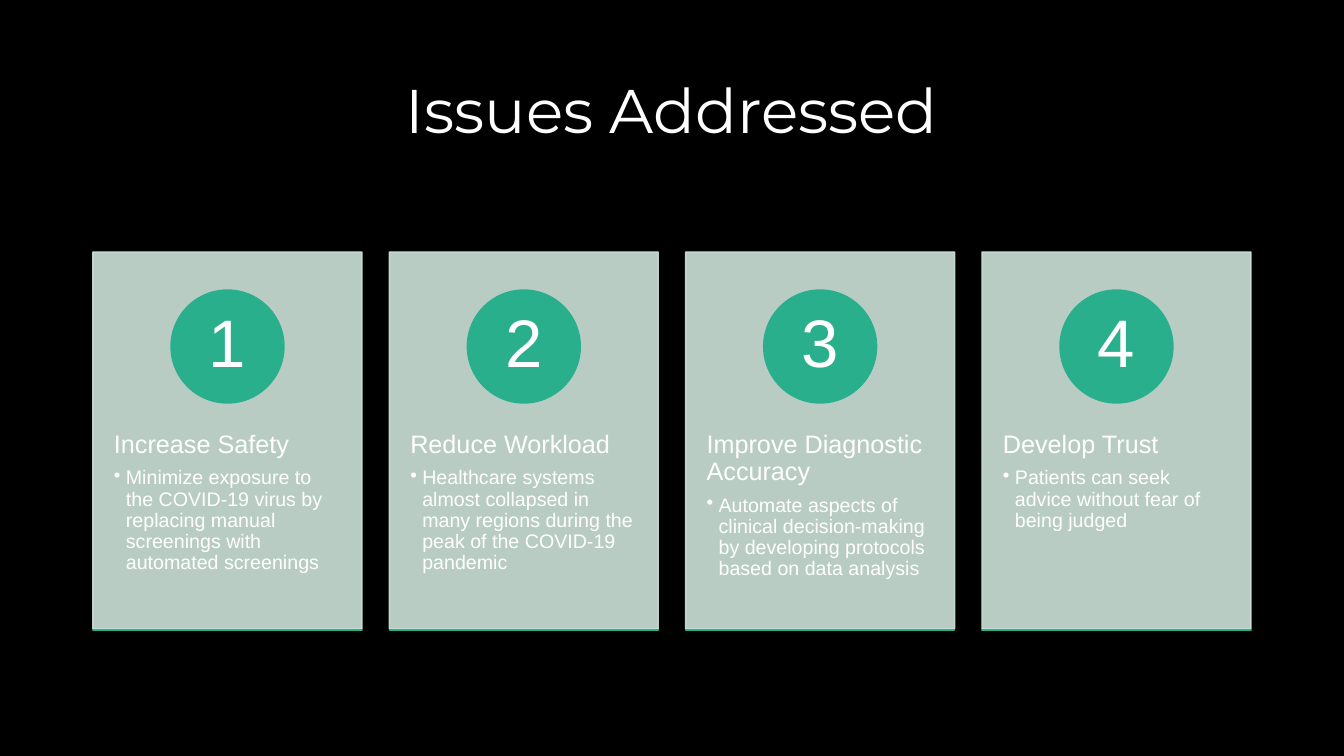
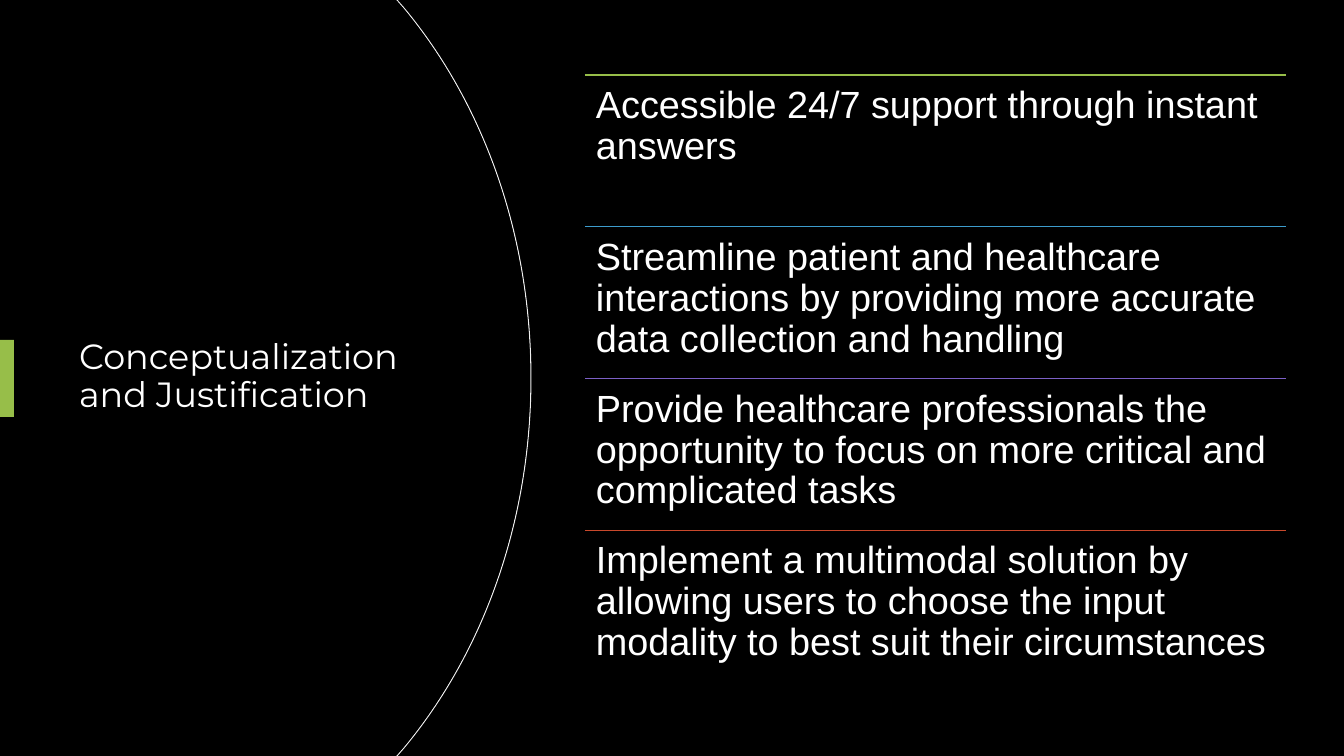
from lxml.etree import SubElement
from pptx import Presentation
from pptx.dml.color import RGBColor
from pptx.enum.shapes import MSO_CONNECTOR, MSO_SHAPE
from pptx.enum.text import MSO_ANCHOR, MSO_AUTO_SIZE, PP_ALIGN
from pptx.oxml.ns import qn
from pptx.util import Emu, Pt

SCALE = 914400 / 100.8
SLIDE_W, SLIDE_H = 1344, 756
COLORS = {
    "black": "000000", "white": "FFFFFF", "edge": "EFEFEF",
    "card": "CDE3DA", "teal": "29AF8C", "green": "97BE49",
    "blue": "3D9CCC", "purple": "7C60C6", "red": "C9492C",
}
HEAD_FONT, BODY_FONT = "Montserrat", "Arial"

ISSUES = [
    ("Increase Safety",
     "Minimize exposure to the COVID-19 virus by replacing manual screenings "
     "with automated screenings"),
    ("Reduce Workload",
     "Healthcare systems almost collapsed in many regions during the peak of "
     "the COVID-19 pandemic"),
    ("Improve Diagnostic Accuracy",
     "Automate aspects of clinical decision-making by developing protocols "
     "based on data analysis"),
    ("Develop Trust",
     "Patients can seek advice without fear of being judged"),
]
REASONS = [
    ("green", "Accessible 24/7 support through instant answers"),
    ("blue", "Streamline patient and healthcare interactions by providing more "
             "accurate data collection and handling"),
    ("purple", "Provide healthcare professionals the opportunity to focus on "
               "more critical and complicated tasks"),
    ("red", "Implement a multimodal solution by allowing users to choose the "
            "input modality to best suit their circumstances"),
]


def px(n):
    """Turn pixels into EMU."""
    return Emu(round(n * SCALE))


def rgb(name):
    """Look up a palette colour."""
    return RGBColor.from_string(COLORS[name])


def paint(fill, color, alpha=100):
    """Fill with a solid colour, see-through when alpha is below 100."""
    fill.solid()
    fill.fore_color.rgb = rgb(color)
    if alpha < 100:
        clr = next(fill._xPr.iter(qn("a:srgbClr")))
        SubElement(clr, qn("a:alpha"), val=str(alpha * 1000))


def style(sp, fill, line=None, width=1, alpha=100):
    """Set the fill and outline of a shape and drop its shadow."""
    sp.shadow.inherit = False
    paint(sp.fill, fill, alpha)
    if line:
        paint(sp.line.fill, line, alpha)
        sp.line.width = Pt(width)
    else:
        sp.line.fill.background()


def add_box(s, kind, x, y, w, h, fill, **fmt):
    """Add a styled preset shape."""
    sp = s.shapes.add_shape(kind, px(x), px(y), px(w), px(h))
    style(sp, fill, **fmt)


def add_rule(s, x, y, w, color):
    """Add a horizontal line."""
    ln = s.shapes.add_connector(
        MSO_CONNECTOR.STRAIGHT, px(x), px(y), px(x + w), px(y))
    ln.line.color.rgb = rgb(color)
    ln.line.width = Pt(1)
    SubElement(ln._element.spPr, qn("a:effectLst"))


def setup_frame(tf, inset_x, inset_y, anchor):
    """Set wrapping, insets and anchor of a text frame."""
    tf.word_wrap = True
    tf.auto_size = MSO_AUTO_SIZE.NONE
    tf.margin_left = tf.margin_right = px(inset_x)
    tf.margin_top = tf.margin_bottom = px(inset_y)
    tf.vertical_anchor = anchor
    return tf


def add_frame(s, x, y, w, h, inset_x, inset_y, anchor=MSO_ANCHOR.TOP):
    """Add a text box and return its frame."""
    tb = s.shapes.add_textbox(px(x), px(y), px(w), px(h))
    return setup_frame(tb.text_frame, inset_x, inset_y, anchor)


def write(tf, text, size, font=BODY_FONT, align=PP_ALIGN.LEFT, after=0.0,
          bullet=0):
    """Write one formatted paragraph, bulleted when given a hanging indent."""
    p = tf.add_paragraph() if tf.text else tf.paragraphs[0]
    p.alignment = align
    p.line_spacing = 0.9
    p.space_before = Pt(0)
    p.space_after = Pt(round(size * after, 1))
    if bullet:
        p.level = 1
        pPr = p._p.get_or_add_pPr()
        pPr.set("marL", str(px(bullet)))
        pPr.set("indent", str(-px(bullet)))
        SubElement(pPr, qn("a:buChar"), char="•")
    r = p.add_run()
    r.text = text
    r.font.size = Pt(size)
    r.font.name = font
    r.font.color.rgb = rgb("white")


def new_slide(prs, title, x, y, w, h, size, align):
    """Add a slide and place its title."""
    s = prs.slides.add_slide(prs.slide_layouts[5])
    sp = s.shapes.title
    sp.left, sp.top, sp.width, sp.height = px(x), px(y), px(w), px(h)
    tf = setup_frame(sp.text_frame, 10, 5, MSO_ANCHOR.MIDDLE)
    write(tf, title, size, font=HEAD_FONT, align=align)
    return s


def add_card(s, x, y, w, h, number, heading, detail):
    """Draw a numbered issue card inside its box."""
    disc, label = 113, 80
    add_box(s, MSO_SHAPE.RECTANGLE, x, y, w, h, "card", line="card", alpha=90)
    tf = add_frame(s, x, y + 144, w, h - 150, 21, 36)
    write(tf, heading, 18, after=0.35)
    write(tf, detail, 14, after=0.15, bullet=12)
    add_box(s, MSO_SHAPE.OVAL, x + (w - disc) / 2, y + 38, disc, disc,
            "teal", line="teal")
    tf = add_frame(s, x + (w - label) / 2, y + 54, label, label, 9, 1,
                   MSO_ANCHOR.MIDDLE)
    write(tf, str(number), 48, align=PP_ALIGN.CENTER, after=0.35)
    add_box(s, MSO_SHAPE.RECTANGLE, x, y + h + 1, w, 0, "teal", line="teal")


def add_cards(s, x, y, w, h):
    """Spread the issue cards evenly over a box."""
    card_w = 269
    pitch = (w - card_w) / (len(ISSUES) - 1)
    for i, (heading, detail) in enumerate(ISSUES):
        add_card(s, x + i * pitch, y, card_w, h, i + 1, heading, detail)


def add_panel(s, w, h, **fmt):
    """Draw a panel from the left edge with a bulging right side."""
    upper = [(w - 134, 0), (w - 127, 8), (w - 48, 103), (w, 234)]
    lower = [(x, h - y) for x, y in reversed(upper)]
    outline = [*upper, (w, h / 2), *lower, (0, h)]
    fb = s.shapes.build_freeform(0, 0, scale=1.0)
    fb.add_line_segments([(px(x), px(y)) for x, y in outline], close=True)
    sp = fb.convert_to_shape()
    segments = list(sp._element.iter(qn("a:lnTo")))
    for first in (2, 5):
        curve = SubElement(segments[first].getparent(), qn("a:cubicBezTo"))
        segments[first].addprevious(curve)
        for segment in segments[first:first + 3]:
            curve.append(segment[0])
            segment.getparent().remove(segment)
    style(sp, "black", **fmt)


def add_rows(s, x, y, w, h):
    """Stack the reasons in equal rows, each under a coloured line."""
    row_h = h / len(REASONS)
    for i, (color, text) in enumerate(REASONS):
        top = y + i * row_h
        add_rule(s, x, top, w, color)
        write(add_frame(s, x, top, w, row_h, 11, 11), text, 27, after=0.35)


def issues_slide(prs):
    """Build the slide of numbered cards."""
    s = new_slide(prs, "Issues Addressed", 92, 41, 1160, 146, 44,
                  PP_ALIGN.CENTER)
    add_cards(s, 93, 252, 1158, 377)


def justification_slide(prs):
    """Build the slide with a curved title panel and rows."""
    s = new_slide(prs, "Conceptualization and Justification", 69, 128, 397,
                  499, 25, PP_ALIGN.LEFT)
    add_panel(s, 531, SLIDE_H, line="edge", width=0.75)
    add_panel(s, 530, SLIDE_H)
    title = s.shapes.title._element
    title.getparent().append(title)
    add_box(s, MSO_SHAPE.RECTANGLE, 0, 340, 14, 77, "green")
    add_rows(s, 585, 75, 701, 607)


def main():
    """Build and save the presentation."""
    prs = Presentation()
    prs.slide_width, prs.slide_height = px(SLIDE_W), px(SLIDE_H)
    paint(prs.slide_master.background.fill, "black")
    issues_slide(prs)
    justification_slide(prs)
    prs.save("out.pptx")


if __name__ == "__main__":
    main()
